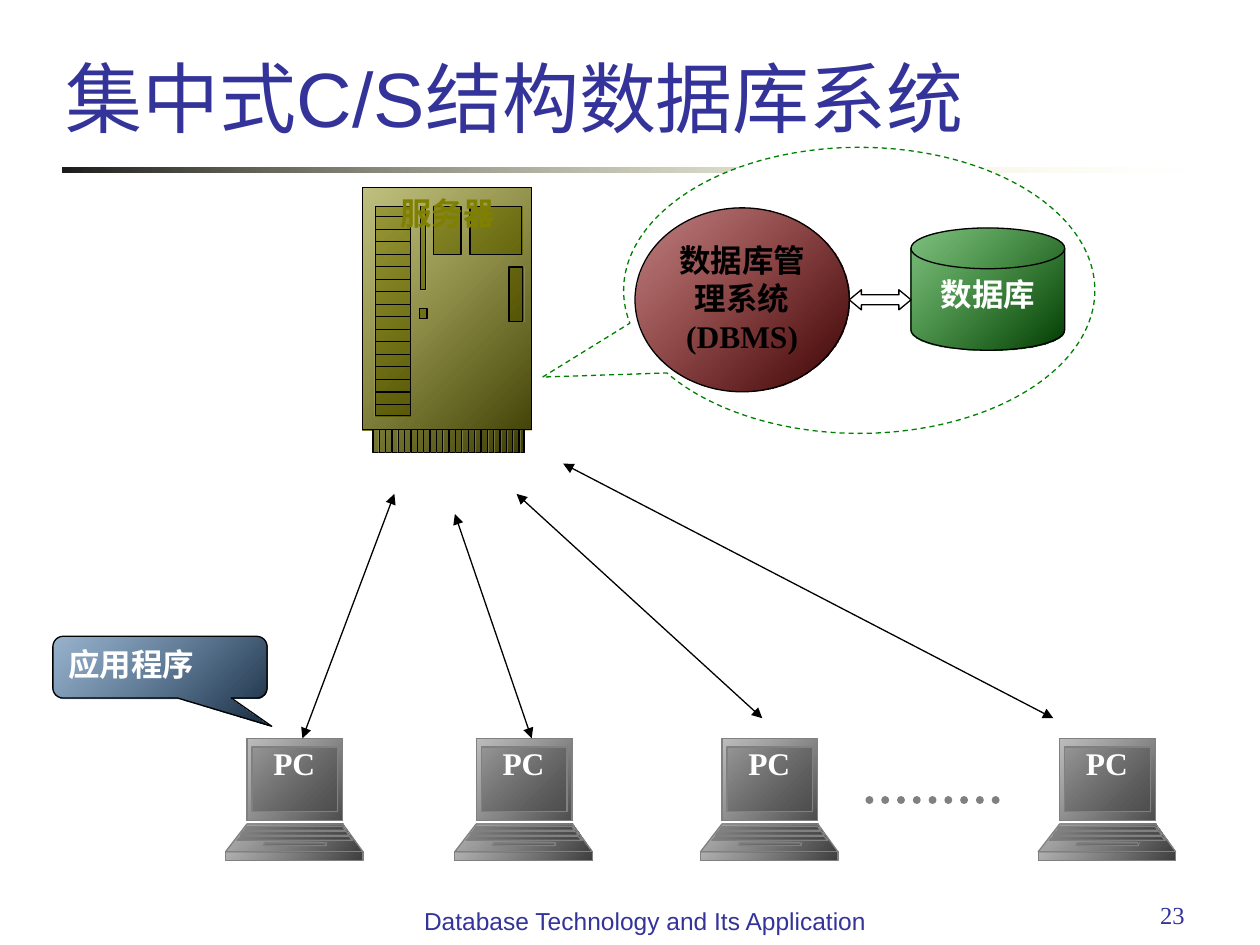
from copy import deepcopy

from lxml.etree import SubElement
from pptx import Presentation
from pptx.dml.color import RGBColor
from pptx.enum.dml import MSO_LINE
from pptx.enum.shapes import MSO_CONNECTOR, MSO_SHAPE
from pptx.enum.text import MSO_ANCHOR, PP_ALIGN
from pptx.oxml.ns import qn
from pptx.util import Inches, Pt

BLACK = RGBColor(0x00, 0x00, 0x00)
WHITE = RGBColor(0xFF, 0xFF, 0xFF)
NAVY = RGBColor(0x33, 0x33, 0x99)
INK = RGBColor(0x1C, 0x1C, 0x1C)
CREAM = RGBColor(0xFF, 0xFF, 0xB7)
OLIVE = RGBColor(0x80, 0x80, 0x00)
GREEN = RGBColor(0x00, 0x80, 0x00)
MAROON = RGBColor(0x80, 0x00, 0x00)
GRAY = RGBColor(0x80, 0x80, 0x80)
BLUE = RGBColor(0x33, 0x66, 0x99)
DARK = {
    OLIVE: RGBColor(0x3B, 0x3B, 0x00),
    GREEN: RGBColor(0x00, 0x3B, 0x00),
    MAROON: RGBColor(0x3B, 0x00, 0x00),
    GRAY: RGBColor(0x3B, 0x3B, 0x3B),
    BLUE: RGBColor(0x18, 0x2F, 0x47),
}
SERIF = "Times New Roman"
LABEL = {"name": SERIF, "size": Pt(18), "bold": True}
PC_LEFTS = (1.79, 3.61, 5.56, 8.24)
LINKS = (
    ((3.13, 3.92), (2.4, 5.86)),
    ((3.61, 4.08), (4.22, 5.86)),
    ((4.1, 3.92), (6.05, 5.7)),
    ((4.47, 3.68), (8.36, 5.7)),
)


def apply(item, values):
    for key, value in values.items():
        setattr(item, key, value)


def write(shape, text, color, font=LABEL, align=PP_ALIGN.CENTER,
          anchor=MSO_ANCHOR.TOP):
    frame = shape.text_frame
    apply(frame, {
        "word_wrap": True, "vertical_anchor": anchor,
        "margin_left": Inches(0.1), "margin_right": Inches(0.1),
        "margin_top": Inches(0.05), "margin_bottom": Inches(0.05),
    })
    para = frame.paragraphs[0]
    para.alignment = align
    run = para.add_run()
    run.text = text
    apply(run.font, font)
    run.font.color.rgb = color


def add_text(slide, box, text, font, align, anchor=MSO_ANCHOR.TOP):
    shape = slide.shapes.add_textbox(*map(Inches, box))
    write(shape, text, NAVY, font, align, anchor)


def blend(shape, first, last, angle, alphas):
    shape.fill.gradient()
    shape.fill.gradient_angle = angle
    for stop, color in zip(shape.fill.gradient_stops, (first, last)):
        stop.color.rgb = color
    for stop, alpha in zip(shape.element.iter(qn("a:gs")), alphas):
        if alpha < 100:
            SubElement(stop[0], qn("a:alpha"), val=str(alpha * 1000))


def style(shape, fill, line):
    shape.shadow.inherit = False
    if fill in DARK:
        blend(shape, fill, DARK[fill], 315, (50, 100))
    else:
        shape.fill.solid()
        shape.fill.fore_color.rgb = fill
    shape.line.color.rgb = line
    shape.line.width = Pt(0.75)


def add_shape(slide, kind, box, fill, line=BLACK, adjust=()):
    shape = slide.shapes.add_shape(kind, *map(Inches, box))
    for i, value in enumerate(adjust):
        shape.adjustments[i] = value
    style(shape, fill, line)
    return shape


def add_form(slide, groups, fill, line):
    """Draw each group of outlines as one path of a single freeform."""
    outlines = [[(Inches(x), Inches(y)) for x, y in points]
                for group in groups for points in group]
    pen = slide.shapes.build_freeform(*outlines[0][0], scale=1.0)
    for i, points in enumerate(outlines):
        if i:
            pen.move_to(*points[0])
        pen.add_line_segments(points[1:], close=len(points) > 2)
    shape = pen.convert_to_shape()

    # Share the outlines out among the paths
    whole = next(shape.element.iter(qn("a:path")))
    parts = list(whole)
    for part in parts:
        whole.remove(part)
    paths = [deepcopy(whole) for _ in groups]
    owners = iter([path for path, group in zip(paths, groups) for _ in group])
    for part in parts:
        if part.tag == qn("a:moveTo"):
            owner = next(owners)
        owner.append(part)
    holder = whole.getparent()
    holder.remove(whole)
    holder.extend(paths)
    style(shape, fill, line)
    return shape


def rect(left, top, right, base):
    return [(left, top), (right, top), (right, base), (left, base)]


def add_server(slide):
    body = [(4.22, 1.49), (2.88, 1.49), (2.88, 3.41), (2.96, 3.41),
            (2.96, 3.59), (4.16, 3.59), (4.16, 3.41), (4.22, 3.41)]
    slots = [[(2.98, y), (3.26, y)]
             for y in (1.72 + 1.49 * i / 15 for i in range(16))]
    pins = [[(x, 3.41), (x, 3.59)]
            for x in (3.01 + 1.11 * i / 22 for i in range(23))]
    panels = [rect(*sides) for sides in (
        (2.98, 1.64, 3.26, 3.3), (3.34, 1.64, 3.38, 2.3),
        (3.33, 2.45, 3.39, 2.53), (3.44, 1.64, 3.66, 2.02),
        (3.73, 1.64, 4.14, 2.02), (4.04, 2.12, 4.15, 2.55))]
    edge = [[(2.96, 3.41), (4.16, 3.41)]]
    shape = add_form(slide, [[body], edge + slots + pins + panels],
                     OLIVE, BLACK)
    write(shape, "服务器", OLIVE)


def add_pc(slide, left):
    # Top left, top right, base right, base left and the two heights
    bands = (
        (0.17, 0.93, 0.93, 0.17, 5.86, 6.51),
        (0.17, 0.93, 1.09, 0, 6.54, 6.76),
        (0, 1.09, 1.09, 0, 6.76, 6.83),
        (0.21, 0.89, 0.89, 0.21, 5.93, 6.44),
        (0.17, 0.93, 0.95, 0.15, 6.56, 6.59),
        (0.31, 0.79, 0.8, 0.3, 6.69, 6.71),
        (0.14, 0.96, 0.98, 0.12, 6.6, 6.63),
        (0.12, 0.98, 1.01, 0.09, 6.64, 6.67),
    )
    groups = [[[(left + a, top), (left + b, top),
                (left + c, base), (left + d, base)]]
              for a, b, c, d, top, base in bands]
    write(add_form(slide, groups, GRAY, GRAY), "PC", WHITE)


def add_line(slide, start, end, color, width, arrows=False):
    line = slide.shapes.add_connector(
        MSO_CONNECTOR.STRAIGHT, *map(Inches, start + end))
    line.line.color.rgb = color
    line.line.width = Pt(width)
    stroke = next(line.element.iter(qn("a:ln")))
    if arrows:
        for tip in ("a:headEnd", "a:tailEnd"):
            SubElement(stroke, qn(tip), type="triangle")
    else:
        line.line.dash_style = MSO_LINE.ROUND_DOT
        stroke.set("cap", "rnd")
    SubElement(line.element.spPr, qn("a:effectLst"))


def main():
    deck = Presentation()
    deck.slide_width, deck.slide_height = Inches(10), Inches(7.5)
    slide = deck.slides.add_slide(deck.slide_layouts[6])

    # Title and rule
    rule = add_shape(slide, MSO_SHAPE.RECTANGLE, (0.5, 1.33, 9, 0.04), INK)
    blend(rule, INK, CREAM, 0, (100, 0))
    rule.line.fill.background()
    add_text(slide, (0.42, 0, 8.78, 1.18), "集中式C/S结构数据库系统",
             {"name": "Arial", "size": Pt(44)}, PP_ALIGN.LEFT,
             MSO_ANCHOR.BOTTOM)

    # Server and what runs on it
    add_server(slide)
    cloud = add_shape(slide, MSO_SHAPE.OVAL_CALLOUT, (4.95, 1.17, 3.74, 2.27),
                      WHITE, GREEN, (-0.672, 0.303))
    cloud.line.dash_style = MSO_LINE.DASH
    disk = add_shape(slide, MSO_SHAPE.FLOWCHART_MAGNETIC_DISK,
                     (7.23, 1.81, 1.22, 0.97), GREEN)
    write(disk, "数据库", WHITE)
    dbms = add_shape(slide, MSO_SHAPE.OVAL, (5.04, 1.65, 1.7, 1.46), MAROON)
    write(dbms, "数据库管理系统(DBMS)", BLACK)
    add_shape(slide, MSO_SHAPE.LEFT_RIGHT_ARROW, (6.74, 2.3, 0.49, 0.16),
              WHITE, adjust=(0.5, 0.601))

    # Client machines and their links
    for left in PC_LEFTS:
        add_pc(slide, left)
    for start, end in LINKS:
        add_line(slide, start, end, BLACK, 0.75, arrows=True)
    add_line(slide, (6.9, 6.35), (7.99, 6.35), GRAY, 4.5)
    app = add_shape(slide, MSO_SHAPE.ROUNDED_RECTANGULAR_CALLOUT,
                    (0.42, 5.05, 1.7, 0.49), BLUE,
                    adjust=(0.522, 0.957, 0.167))
    write(app, "应用程序", WHITE, align=PP_ALIGN.JUSTIFY)

    # Footer
    add_text(slide, (7.17, 7.09, 2.33, 0.52), "23",
             {"name": SERIF, "size": Pt(14)}, PP_ALIGN.RIGHT)
    add_text(slide, (3.19, 7.14, 3.86, 0.52),
             "Database Technology and Its Application",
             {"name": "Arial", "size": Pt(14)}, PP_ALIGN.CENTER)
    deck.save("out.pptx")


if __name__ == "__main__":
    main()
